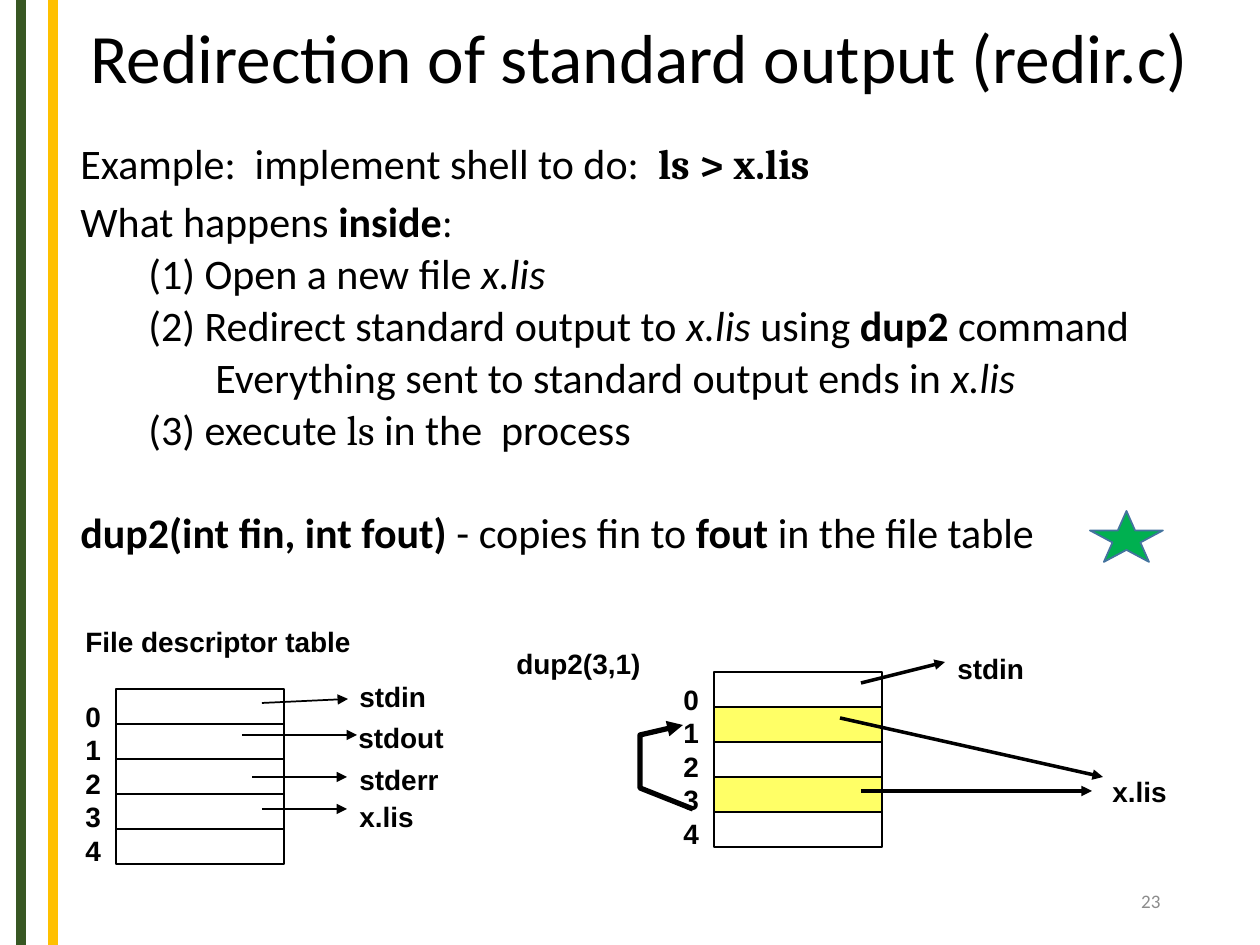
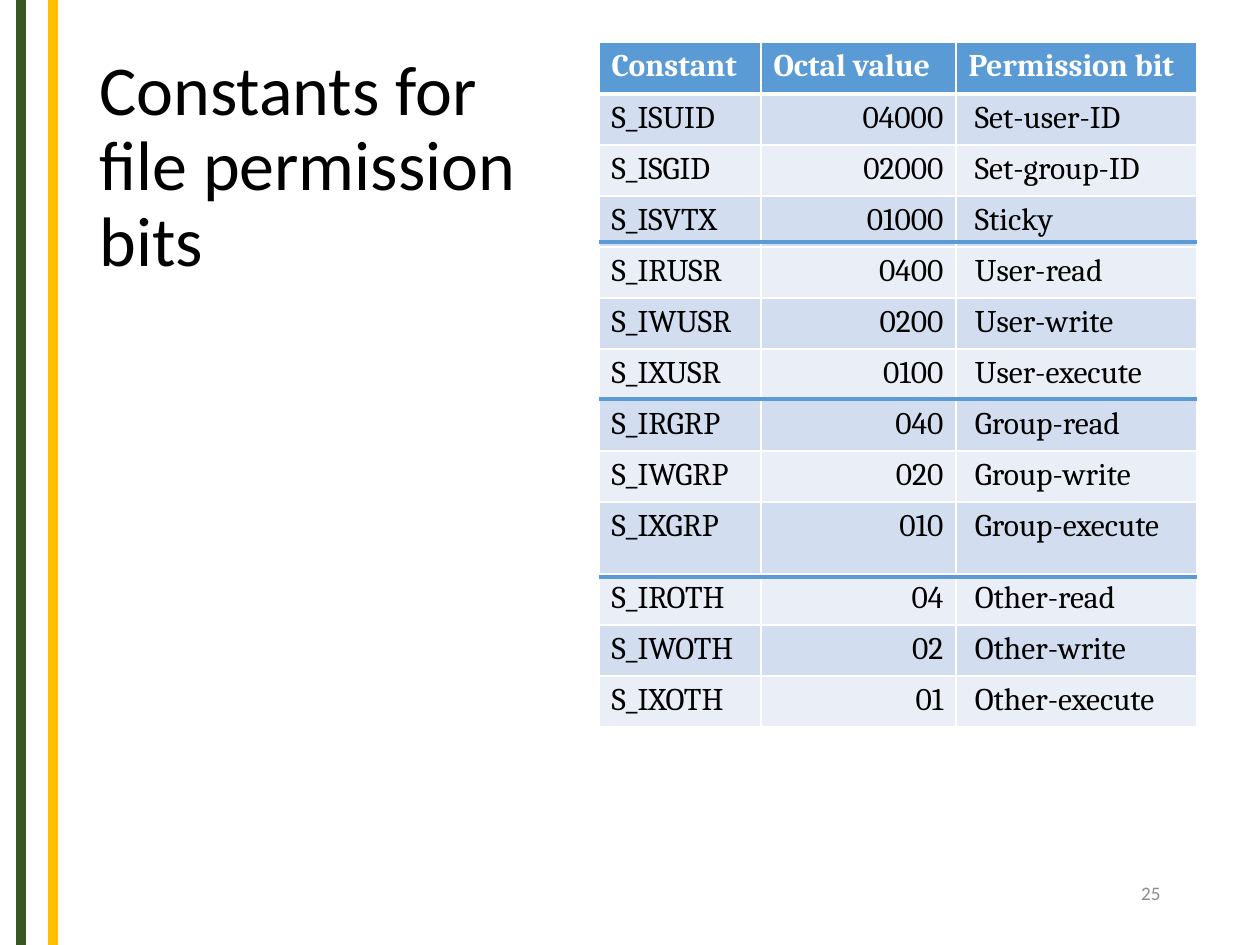
"""Build two slides: redirecting standard output, and file permission constants."""
from lxml import etree
from pptx import Presentation
from pptx.dml.color import RGBColor
from pptx.enum.shapes import MSO_CONNECTOR, MSO_SHAPE
from pptx.enum.text import MSO_ANCHOR, PP_ALIGN
from pptx.oxml.ns import qn
from pptx.util import Emu, Pt

STRAIGHT = MSO_CONNECTOR.STRAIGHT
RECTANGLE, STAR = MSO_SHAPE.RECTANGLE, MSO_SHAPE.STAR_5_POINT
TOP, MIDDLE = MSO_ANCHOR.TOP, MSO_ANCHOR.MIDDLE
LEFT, RIGHT = PP_ALIGN.LEFT, PP_ALIGN.RIGHT

SCALE = 914400 / 126
WIDTH, HEIGHT = 1260, 945
BLACK, WHITE, GREY = "000000", "FFFFFF", "8C8C8C"
DARK_GREEN, GOLD, STAR_GREEN, STAR_EDGE = "385723", "FFC000", "00B050", "43739E"
BLUE, BAND_DARK, BAND_LIGHT, YELLOW = "5B9BD5", "D2DEEF", "EAEFF7", "FFFF66"
rgb = RGBColor.from_string


def put_text(slide, box, paragraphs, font, size, color=BLACK, bold=False,
             align=LEFT, anchor=TOP, wrap=True, spacing=1.0):
    """Add a text box and return its paragraphs."""
    frame = slide.shapes.add_textbox(*[Emu(round(v * SCALE)) for v in box]).text_frame
    frame.word_wrap = wrap
    frame.vertical_anchor = anchor
    for number, content in enumerate(paragraphs):
        paragraph = frame.add_paragraph() if number else frame.paragraphs[0]
        paragraph.text = content
        paragraph.alignment = align
        paragraph.line_spacing = spacing
        paragraph.font.name = font
        paragraph.font.size = Pt(size)
        paragraph.font.bold = bold
        paragraph.font.color.rgb = rgb(color)
    return frame.paragraphs


def style_line(stroke, color, width, arrow=False):
    """Give a connector or open outline its colour, width and arrowhead."""
    stroke.line.color.rgb = rgb(color)
    stroke.line.width = Pt(width)
    properties = stroke._element.spPr
    if arrow:
        etree.SubElement(properties.find(qn("a:ln")), qn("a:tailEnd"), type="triangle")
    etree.SubElement(properties, qn("a:effectLst"))


prs = Presentation()
prs.slide_width = Emu(round(WIDTH * SCALE))
prs.slide_height = Emu(round(HEIGHT * SCALE))

pages = [
    ("Redirection of standard output (redir.c)", (78, 0, 1176, 123), 39.6, "23", 876),
    ("Constants for\vfile permission bits", (87, 42, 533, 252), 40, "25", 868),
]
slides = []
for title, title_box, title_size, page_number, number_top in pages:
    slide = prs.slides.add_slide(prs.slide_layouts[6])
    for x, color in ((21, DARK_GREEN), (53, GOLD)):
        ends = [Emu(round(v * SCALE)) for v in (x, 0, x, HEIGHT)]
        style_line(slide.shapes.add_connector(STRAIGHT, *ends), color, 6)
    put_text(slide, title_box, [title], "Calibri", title_size, anchor=MIDDLE, spacing=0.9)
    put_text(slide, (890, number_top, 283, 50), [page_number], "Calibri", 10.9, GREY,
             align=RIGHT, anchor=MIDDLE)
    slides.append(slide)
redirection, permissions = slides

steps = [
    (0, 7.5, [("Example:  implement shell to do:  ", ""), ("ls > x.lis", "bold serif")]),
    (0, 7.5, [("What happens ", ""), ("inside", "bold"), (":", "serif")]),
    (68, 3.8, [("(1) Open a new file ", ""), ("x.lis", "italic")]),
    (68, 3.8, [("(2) Redirect standard output to ", ""), ("x.lis", "italic"),
               (" using ", ""), ("dup2", "bold"), (" command", "")]),
    (135, 3.8, [("Everything sent to standard output ends in ", ""), ("x.lis", "italic")]),
    (68, 3.8, [("(3) execute ", ""), ("ls", "serif"), (" in the  process", "")]),
    (0, 32.5, [("dup2(int fin, int fout) ", "bold"), ("- copies fin to ", ""),
               ("fout", "bold"), (" in the file table", "")]),
]
step_paragraphs = put_text(redirection, (68, 137, 1124, 453), [""] * len(steps),
                           "Calibri", 24, spacing=0.9)
for paragraph, (indent, space, pieces) in zip(step_paragraphs, steps):
    paragraph.space_before = Pt(space)
    paragraph._p.get_or_add_pPr().set("marL", str(round(indent * SCALE)))
    for words, look in pieces:
        run = paragraph.add_run()
        run.text = words
        if "bold" in look:
            run.font.bold = True
        if "italic" in look:
            run.font.italic = True
        if "serif" in look:
            run.font.name = "Cambria"

ENTRY_WIDTH, ENTRY_HEIGHT = 168, 35
for left, top, digits_top, changed in ((116, 689, 693, ()), (714, 672, 676, (1, 3))):
    for entry in range(5):
        box = (left, top + entry * ENTRY_HEIGHT, ENTRY_WIDTH, ENTRY_HEIGHT)
        slot = redirection.shapes.add_shape(RECTANGLE, *[Emu(round(v * SCALE)) for v in box])
        slot.shadow.inherit = False
        slot.fill.solid()
        slot.fill.fore_color.rgb = rgb(YELLOW if entry in changed else WHITE)
        slot.line.color.rgb = rgb(BLACK)
        slot.line.width = Pt(1)
    put_text(redirection, (left - 43, digits_top, 41, 181), list("01234"), "Arial", 16,
             bold=True, wrap=False)

labels = [
    ("File descriptor table", 73, 618, 296),
    ("stdin", 347, 673, 94), ("stdout", 346, 714, 113),
    ("stderr", 347, 756, 107), ("x.lis", 347, 793, 86),
    ("dup2(3,1)", 504, 640, 152), ("stdin", 945, 645, 94), ("x.lis", 1100, 768, 86),
]
for label, x, y, width in labels:
    put_text(redirection, (x, y, width, 47), [label], "Arial", 16, bold=True, wrap=False)

arrows = [
    (262, 703, 348, 699, 1), (242, 735, 357, 735, 1),
    (252, 777, 347, 777, 1), (262, 809, 347, 809, 1),
    (861, 683, 945, 662, 2), (840, 718, 1103, 777, 2), (861, 791, 1092, 791, 2),
]
for *ends, width in arrows:
    ends = [Emu(round(v * SCALE)) for v in ends]
    style_line(redirection.shapes.add_connector(STRAIGHT, *ends), BLACK, width, arrow=True)

outline = redirection.shapes.build_freeform(693, 809, scale=SCALE)
outline.add_line_segments([(640, 788), (640, 735), (683, 725)], close=False)
copy_arrow = outline.convert_to_shape()
copy_arrow.fill.background()
style_line(copy_arrow, BLACK, 3, arrow=True)

star = redirection.shapes.add_shape(STAR, *[Emu(round(v * SCALE)) for v in (1090, 511, 73, 51)])
star.shadow.inherit = False
star.fill.solid()
star.fill.fore_color.rgb = rgb(STAR_GREEN)
star.line.color.rgb = rgb(STAR_EDGE)
star.line.width = Pt(1)

constants = [
    ("Constant", "Octal value", "Permission bit"),
    ("S_ISUID", "04000", "Set-user-ID"),
    ("S_ISGID", "02000", "Set-group-ID"),
    ("S_ISVTX", "01000", "Sticky"),
    ("S_IRUSR", "0400", "User-read"),
    ("S_IWUSR", "0200", "User-write"),
    ("S_IXUSR", "0100", "User-execute"),
    ("S_IRGRP", "040", "Group-read"),
    ("S_IWGRP", "020", "Group-write"),
    ("S_IXGRP", "010", "Group-execute"),
    ("S_IROTH", "04", "Other-read"),
    ("S_IWOTH", "02", "Other-write"),
    ("S_IXOTH", "01", "Other-execute"),
]
column_widths = (162, 195, 241)
row_heights = [52] + [51] * 8 + [72] + [51] * 3
box = (599, 42, sum(column_widths), sum(row_heights))
bits = permissions.shapes.add_table(len(constants), len(column_widths),
                                    *[Emu(round(v * SCALE)) for v in box]).table
for column, width in zip(bits.columns, column_widths):
    column.width = Emu(round(width * SCALE))
for row, (values, height) in enumerate(zip(constants, row_heights)):
    bits.rows[row].height = Emu(round(height * SCALE))
    band = BLUE if row == 0 else BAND_DARK if row % 2 else BAND_LIGHT
    for column, value in enumerate(values):
        cell = bits.cell(row, column)
        if row == 0:
            rule = etree.SubElement(cell._tc.get_or_add_tcPr(), qn("a:lnB"), w=str(Pt(3)))
            rule_fill = etree.SubElement(rule, qn("a:solidFill"))
            etree.SubElement(rule_fill, qn("a:srgbClr"), val=WHITE)
        cell.fill.solid()
        cell.fill.fore_color.rgb = rgb(band)
        if row and column == 2:
            cell.margin_left = Emu(round(19 * SCALE))
        paragraph = cell.text_frame.paragraphs[0]
        paragraph.text = value
        paragraph.alignment = RIGHT if row and column == 1 else LEFT
        paragraph.font.name = "Cambria"
        paragraph.font.size = Pt(18)
        paragraph.font.bold = row == 0
        paragraph.font.color.rgb = rgb(BLACK if row else WHITE)

for y in (242, 399, 577):
    ends = [Emu(round(v * SCALE)) for v in (599, y, 1197, y)]
    style_line(permissions.shapes.add_connector(STRAIGHT, *ends), BLUE, 2.25)

prs.save("out.pptx")
